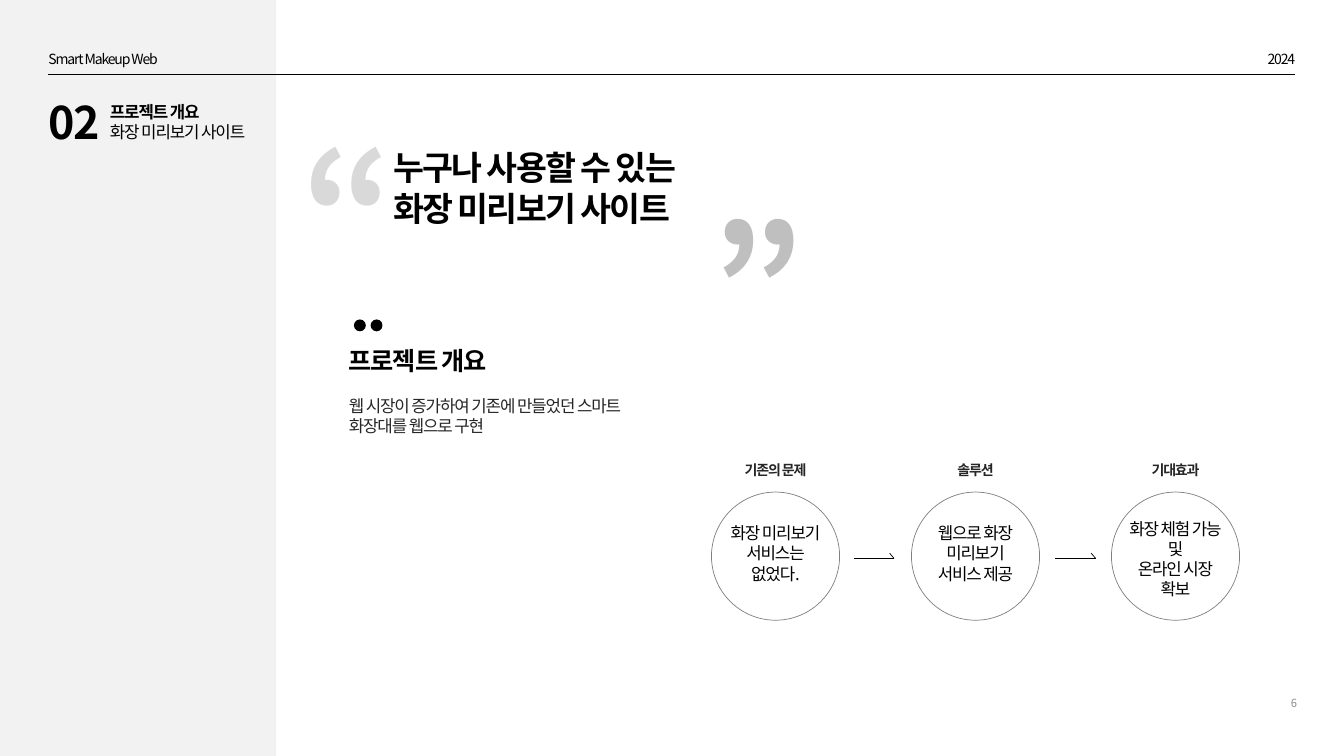
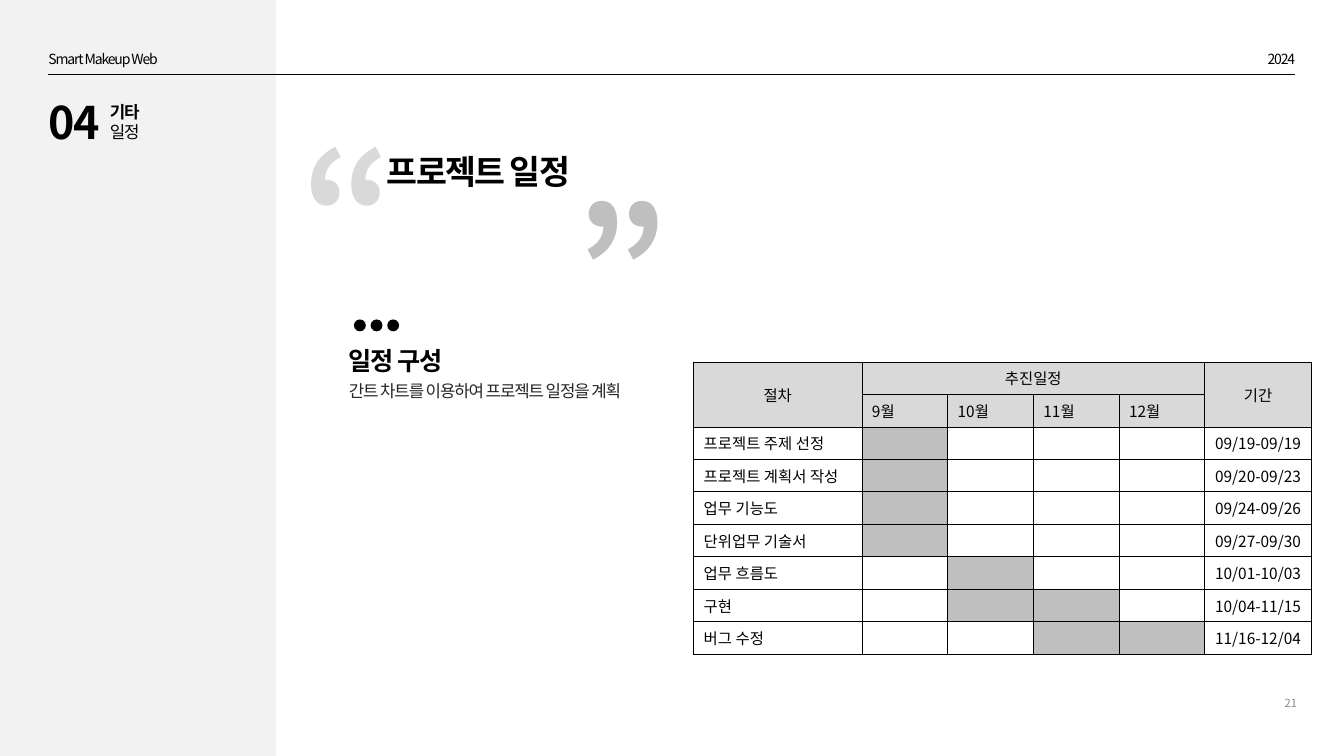
from dataclasses import dataclass

from pptx import Presentation
from pptx.dml.color import RGBColor
from pptx.enum.shapes import MSO_CONNECTOR, MSO_SHAPE
from pptx.enum.text import MSO_ANCHOR, MSO_AUTO_SIZE, PP_ALIGN
from pptx.oxml.xmlchemy import OxmlElement
from pptx.slide import Slide
from pptx.table import _Cell
from pptx.text.text import TextFrame
from pptx.util import Cm, Pt

FONT = "Noto Sans CJK KR"
BLACK = RGBColor(0x00, 0x00, 0x00)
INK = RGBColor(0x26, 0x26, 0x26)
OUTLINE = RGBColor(0x80, 0x80, 0x80)
PAGE_GRAY = RGBColor(0x8C, 0x8C, 0x8C)
MID_GRAY = RGBColor(0xBF, 0xBF, 0xBF)
LIGHT_GRAY = RGBColor(0xD9, 0xD9, 0xD9)
BAND_GRAY = RGBColor(0xF2, 0xF2, 0xF2)

PAGE_WIDTH, PAGE_HEIGHT = 33.87, 19.05
MARGIN_LEFT, MARGIN_RIGHT = 1.22, 32.64
QUOTE_SIZE = (3.23, 4.93)


@dataclass(frozen=True)
class Style:
    size: float
    color: RGBColor = BLACK
    bold: bool = False
    spacing: float = -0.8


@dataclass(frozen=True)
class Line:
    text: str
    style: Style
    space_before: float = 0


@dataclass(frozen=True)
class Area:
    """Left, top, width and height in centimetres."""
    left: float
    top: float
    width: float
    height: float

    def lengths(self) -> tuple[Cm, Cm, Cm, Cm]:
        return Cm(self.left), Cm(self.top), Cm(self.width), Cm(self.height)


@dataclass(frozen=True)
class Section:
    number: str
    name: str
    topic: str
    page_number: str
    title: list[str]
    title_area: Area
    closing_quote: tuple[float, float]
    dots: int
    heading: str
    summary: str
    summary_gap: float
    summary_area: Area


@dataclass(frozen=True)
class Step:
    label: str
    lines: list[str]
    text_top: float


@dataclass(frozen=True)
class Task:
    name: str
    months: set[int]
    period: str


HEADER = Style(10)
NUMBER = Style(32, bold=True)
NAME = Style(12, bold=True)
PLAIN = Style(12)
PAGE_NUMBER = Style(8, PAGE_GRAY, spacing=0)
OPENING = Style(115, LIGHT_GRAY, True)
CLOSING = Style(115, MID_GRAY, True)
TITLE = Style(24, bold=True, spacing=-1.2)
HEADING = Style(18, bold=True)
SUMMARY = Style(12, INK)
STEP_LABEL = Style(10, INK, True)
CELL = Style(11, spacing=0)

OVERVIEW = Section(
    "02", "프로젝트 개요", "화장 미리보기 사이트", "6",
    ["누구나 사용할 수 있는", "화장 미리보기 사이트"], Area(9.91, 3.71, 21.51, 2.06),
    (17.93, 4.67), 2, "프로젝트 개요",
    "웹 시장이 증가하여 기존에 만들었던 스마트 화장대를 웹으로 구현",
    0.51, Area(8.79, 8.69, 7.16, 2.31))
SCHEDULE = Section(
    "04", "기타", "일정", "21",
    ["프로젝트 일정"], Area(9.75, 3.81, 21.51, 1.02),
    (14.5, 4.22), 3, "일정 구성", "간트 차트를 이용하여 프로젝트 일정을 계획",
    0.13, Area(8.79, 8.69, 7.26, 1.42))
STEPS = [
    Step("기존의 문제", ["화장 미리보기", "서비스는", "없었다."], 13.18),
    Step("솔루션", ["웹으로 화장", "미리보기", "서비스 제공"], 13.18),
    Step("기대효과", ["화장 체험 가능", "및", "온라인 시장", "확보"], 13.06),
]
MONTHS = [9, 10, 11, 12]
TASKS = [
    Task("프로젝트 주제 선정", {9}, "09/19-09/19"),
    Task("프로젝트 계획서 작성", {9}, "09/20-09/23"),
    Task("업무 기능도", {9}, "09/24-09/26"),
    Task("단위업무 기술서", {9}, "09/27-09/30"),
    Task("업무 흐름도", {10}, "10/01-10/03"),
    Task("구현", {10, 11}, "10/04-11/15"),
    Task("버그 수정", {11, 12}, "11/16-12/04"),
]


def write(frame: TextFrame, lines: list[Line], align: PP_ALIGN = PP_ALIGN.LEFT) -> None:
    for index, line in enumerate(lines):
        para = frame.paragraphs[0] if index == 0 else frame.add_paragraph()
        para.alignment = align
        para.space_before = Cm(line.space_before)
        span = para.add_run()
        span.text = line.text
        span.font.name = FONT
        span.font.size = Pt(line.style.size)
        span.font.bold = line.style.bold
        span.font.color.rgb = line.style.color
        properties = span._r.get_or_add_rPr()
        if line.style.spacing:
            properties.set("spc", str(round(line.style.spacing * 100)))
        east_asian = OxmlElement("a:ea")
        east_asian.set("typeface", FONT)
        properties.append(east_asian)


def clear_margins(frame: TextFrame) -> None:
    frame.margin_left = frame.margin_top = frame.margin_right = frame.margin_bottom = 0
    frame.word_wrap = True
    frame.auto_size = MSO_AUTO_SIZE.NONE
    frame.vertical_anchor = MSO_ANCHOR.TOP


def add_text(shapes, area: Area, lines: list[Line], align: PP_ALIGN = PP_ALIGN.LEFT) -> TextFrame:
    frame = shapes.add_textbox(*area.lengths()).text_frame
    clear_margins(frame)
    write(frame, lines, align)
    return frame


def fill_placeholder(holder, area: Area, lines: list[Line]) -> None:
    holder.left, holder.top, holder.width, holder.height = area.lengths()
    clear_margins(holder.text_frame)
    write(holder.text_frame, lines)
    for para in holder.text_frame.paragraphs:
        properties = para._p.get_or_add_pPr()
        properties.set("marL", "0")
        properties.set("indent", "0")
        properties.append(OxmlElement("a:buNone"))


def add_figure(shapes, kind: MSO_SHAPE, area: Area, fill: RGBColor | None = None,
               outline: RGBColor | None = None) -> None:
    figure = shapes.add_shape(kind, *area.lengths())
    figure.shadow.inherit = False
    if fill is None:
        figure.fill.background()
    else:
        figure.fill.solid()
        figure.fill.fore_color.rgb = fill
    if outline is None:
        figure.line.fill.background()
    else:
        figure.line.color.rgb = outline
        figure.line.width = Pt(0.5)


def add_line(shapes, start: tuple[float, float], end: tuple[float, float], width: float) -> None:
    line = shapes.add_connector(MSO_CONNECTOR.STRAIGHT, *(Cm(value) for value in start + end))
    line.line.color.rgb = BLACK
    line.line.width = Pt(width)
    line._element.spPr.append(OxmlElement("a:effectLst"))


def add_section_page(deck, section: Section) -> Slide:
    """Add a page with the band, header, section mark, quoted title and summary."""
    page = deck.slides.add_slide(deck.slide_layouts[1])
    shapes = page.shapes
    add_text(shapes, Area(*section.closing_quote, *QUOTE_SIZE), [Line("”", CLOSING)])
    add_figure(shapes, MSO_SHAPE.RECTANGLE, Area(0, 0, 6.96, PAGE_HEIGHT), BAND_GRAY)
    header_width = 12.22
    add_text(shapes, Area(MARGIN_LEFT, 1.27, header_width, 0.43),
             [Line("Smart Makeup Web", HEADER)])
    add_text(shapes, Area(MARGIN_RIGHT - header_width, 1.27, header_width, 0.43),
             [Line("2024", HEADER)], PP_ALIGN.RIGHT)
    add_line(shapes, (MARGIN_LEFT, 1.88), (MARGIN_RIGHT, 1.88), 0.25)
    add_text(shapes, Area(MARGIN_LEFT, 2.39, 5.54, 1.37), [Line(section.number, NUMBER)])
    add_text(shapes, Area(2.77, 2.57, 5.54, 1.02),
             [Line(section.name, NAME), Line(section.topic, PLAIN)])
    footer = add_text(shapes, Area(25.32, 17.2, 7.62, 1.02),
                      [Line(section.page_number, PAGE_NUMBER)], PP_ALIGN.RIGHT)
    footer.vertical_anchor = MSO_ANCHOR.MIDDLE
    footer.margin_right = Cm(0.25)
    add_text(shapes, Area(7.59, 2.82, *QUOTE_SIZE), [Line("“", OPENING)])
    fill_placeholder(shapes.title, section.title_area,
                     [Line(text, TITLE) for text in section.title])
    for index in range(section.dots):
        add_figure(shapes, MSO_SHAPE.OVAL, Area(8.92 + index * 0.42, 8.05, 0.3, 0.3), BLACK)
    fill_placeholder(page.placeholders[1], section.summary_area,
                     [Line(section.heading, HEADING),
                      Line(section.summary, SUMMARY, section.summary_gap)])
    return page


def add_steps(page: Slide) -> None:
    left, pitch, diameter = 17.93, 5.04, 3.23
    label_width, text_width = 2.24, 2.51
    for index, step in enumerate(STEPS):
        group = page.shapes.add_group_shape().shapes
        circle_left = left + index * pitch
        center = circle_left + diameter / 2
        add_figure(group, MSO_SHAPE.OVAL, Area(circle_left, 12.4, diameter, diameter),
                   outline=OUTLINE)
        add_text(group, Area(center - text_width / 2, step.text_top, text_width,
                             len(step.lines) * 0.51),
                 [Line(text, PLAIN) for text in step.lines], PP_ALIGN.CENTER)
        add_text(group, Area(center - label_width / 2, 11.63, label_width, 0.43),
                 [Line(step.label, STEP_LABEL)], PP_ALIGN.CENTER)
    for arrow_left in (21.51, 26.59):
        group = page.shapes.add_group_shape().shapes
        tip = (arrow_left + 1.02, 14.07)
        add_line(group, (arrow_left, 14.07), tip, 0.5)
        add_line(group, (arrow_left + 0.91, 13.94), tip, 0.5)


def format_cell(cell: _Cell, text: str, fill: RGBColor | None, centered: bool) -> None:
    properties = cell._tc.get_or_add_tcPr()
    for side in ("L", "R", "T", "B"):
        border = OxmlElement(f"a:ln{side}")
        border.set("w", str(Pt(0.56)))
        solid = OxmlElement("a:solidFill")
        color = OxmlElement("a:srgbClr")
        color.set("val", str(BLACK))
        solid.append(color)
        border.append(solid)
        properties.append(border)
    if fill is None:
        cell.fill.background()
    else:
        cell.fill.solid()
        cell.fill.fore_color.rgb = fill
    cell.vertical_anchor = MSO_ANCHOR.MIDDLE
    if centered:
        cell.margin_left = cell.margin_right = Cm(0.1)
    if text:
        write(cell.text_frame, [Line(text, CELL)], PP_ALIGN.CENTER if centered else PP_ALIGN.LEFT)
    else:
        end = OxmlElement("a:endParaRPr")
        end.set("sz", str(CELL.size * 100))
        cell.text_frame.paragraphs[0]._p.append(end)


def add_schedule_table(page: Slide) -> None:
    widths = [4.24] + [2.16] * len(MONTHS) + [2.69]
    last = len(widths) - 1
    rows = [["절차", "추진일정", "", "", "", "기간"],
            ["", *(f"{month}월" for month in MONTHS), ""],
            *([task.name, "", "", "", "", task.period] for task in TASKS)]
    row_height = 0.72
    area = Area(17.48, 9.12, sum(widths), row_height * len(rows))
    table = page.shapes.add_table(len(rows), len(widths), *area.lengths()).table
    table.first_row = table.horz_banding = False
    for column, width in zip(table.columns, widths):
        column.width = Cm(width)
    for row in table.rows:
        row.height = Cm(row_height)
    table.cell(0, 0).merge(table.cell(1, 0))
    table.cell(0, 1).merge(table.cell(0, last - 1))
    table.cell(0, last).merge(table.cell(1, last))
    for row_index, texts in enumerate(rows):
        for column_index, text in enumerate(texts):
            fill = LIGHT_GRAY if row_index < 2 else None
            if row_index >= 2 and 0 < column_index < last:
                busy = MONTHS[column_index - 1] in TASKS[row_index - 2].months
                fill = MID_GRAY if busy else None
            format_cell(table.cell(row_index, column_index), text, fill,
                        row_index == 0 or column_index == last)


def main() -> None:
    deck = Presentation()
    deck.slide_width, deck.slide_height = Cm(PAGE_WIDTH), Cm(PAGE_HEIGHT)
    add_steps(add_section_page(deck, OVERVIEW))
    add_schedule_table(add_section_page(deck, SCHEDULE))
    deck.save("out.pptx")


if __name__ == "__main__":
    main()
